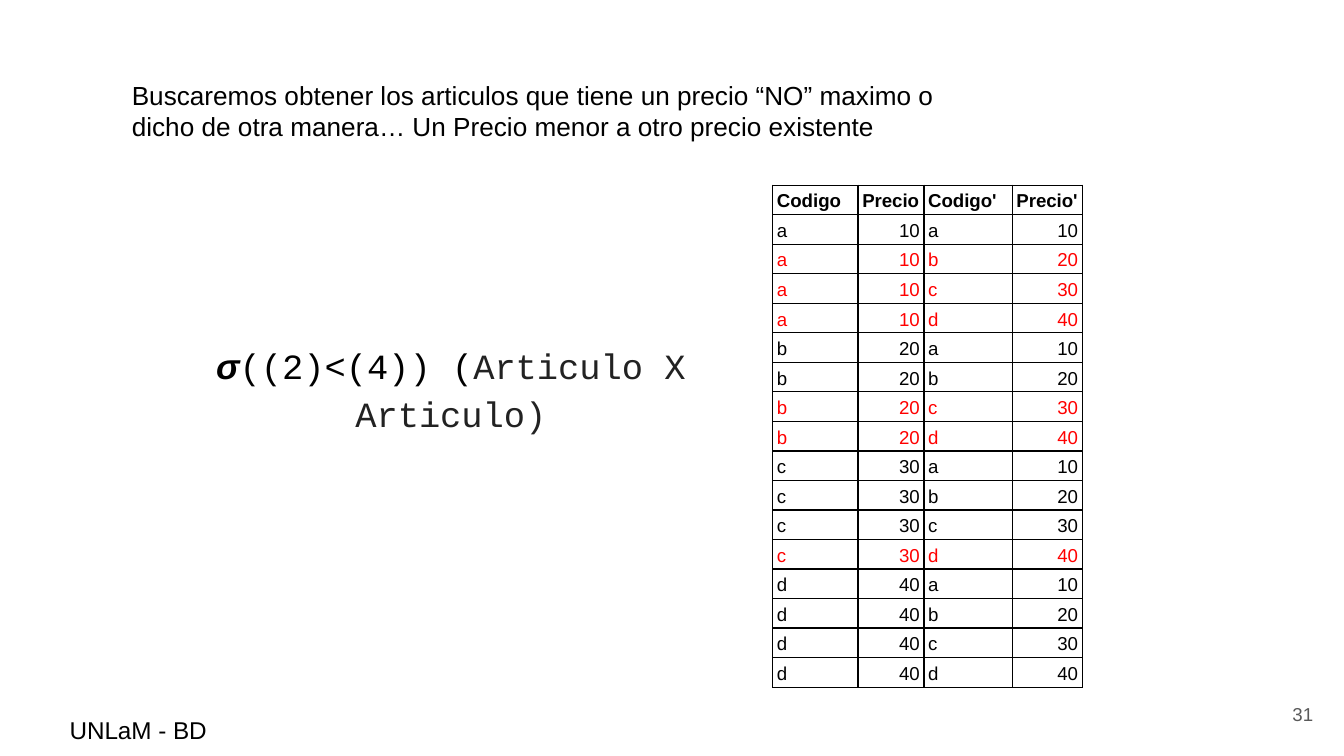
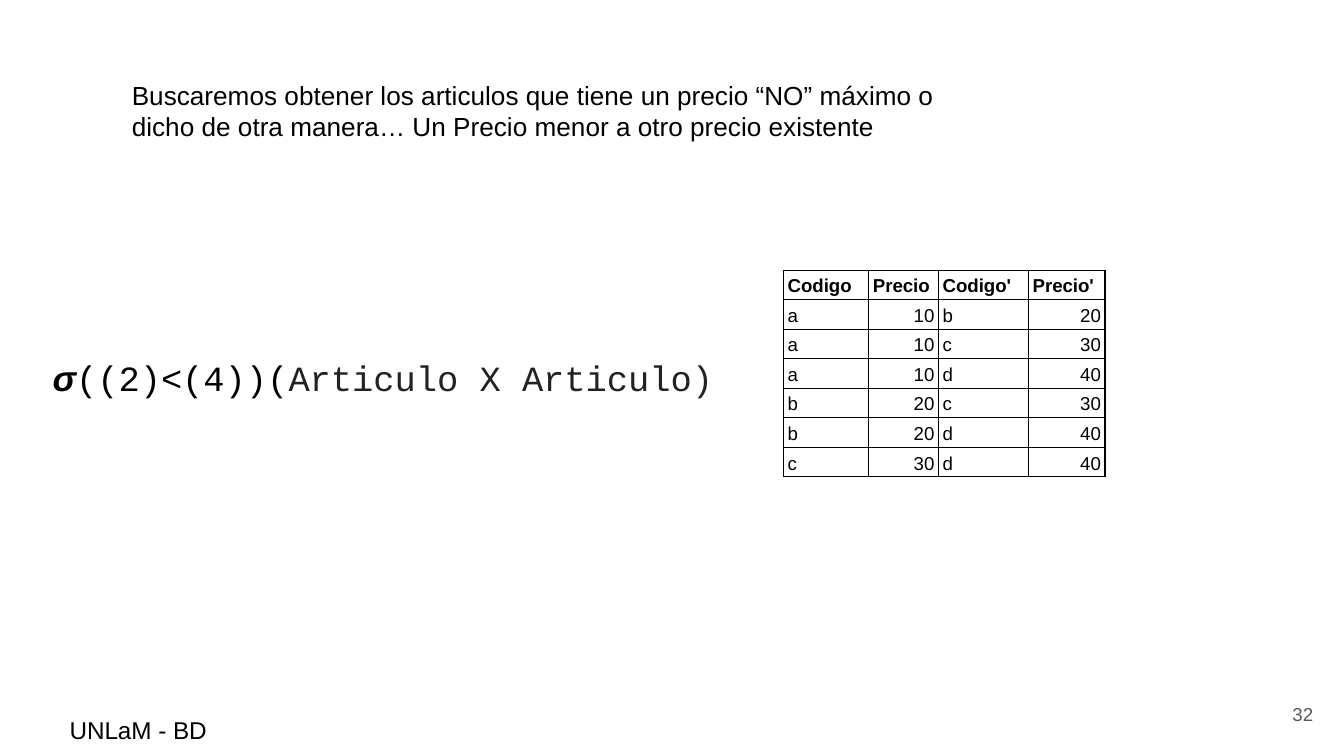
from itertools import product

from lxml import etree
from pptx import Presentation
from pptx.dml.color import RGBColor
from pptx.enum import text
from pptx.oxml import ns
from pptx.util import Pt

INK = {"black": "000000", "dark": "222222", "gray": "595959",
       "red": "FF0000", "white": "FFFFFF"}
SANS, MONO = "Arial", "Courier New"
LEFT, MID, RIGHT = text.PP_ALIGN.LEFT, text.PP_ALIGN.CENTER, text.PP_ALIGN.RIGHT
TOP, CORE, LOW = text.MSO_ANCHOR.TOP, text.MSO_ANCHOR.MIDDLE, text.MSO_ANCHOR.BOTTOM

TITLE = ("Buscaremos obtener los articulos que tiene un precio “NO” {} o "
         "dicho de otra manera… Un Precio menor a otro precio existente")
FOOT = "UNLaM - BD"
HEAD = ("Codigo", "Precio", "Codigo'", "Precio'")
ITEMS = [("a", 10), ("b", 20), ("c", 30), ("d", 40)]
PAIRS = [one + two for one, two in product(ITEMS, ITEMS)]
LESS = [row for row in PAIRS if row[1] < row[3]]

PAGES = [
    {"num": 31, "word": "maximo", "rows": PAIRS, "mark": LESS,
     "spot": (414, 99.2), "cols": (45.7, 35.3, 47.3, 37.5),
     "cond": "((2)<(4)) (", "box": (67.7, 180.7, 347.8, 47.5)},
    {"num": 32, "word": "máximo", "rows": LESS, "mark": [],
     "spot": (419.7, 144.7), "cols": (45.7, 37.4, 48.2, 41),
     "cond": "((2)<(4))(", "box": (0, 187.2, 410.4, 31)},
]
TITLE_BOX = (63.4, 35.3, 453.6, 47.5)
NUM_BOX = (667.4, 367.2, 43.2, 31)
FOOT_BOX = (30.2, 375.8, 103.7, 22.3)
ROW_H = 15.84


def style(font, size, color="black", face=SANS, bold=False, italic=False):
    font.size, font.name = Pt(size), face
    font.bold, font.italic = bold, italic
    font.color.rgb = RGBColor.from_string(INK[color])


def frame(shape, box, pad=7.2, anchor=TOP):
    shape.left, shape.top, shape.width, shape.height = map(Pt, box)
    body = shape.text_frame
    body.word_wrap, body.auto_size = True, text.MSO_AUTO_SIZE.NONE
    body.vertical_anchor = anchor
    body.margin_left = body.margin_right = Pt(pad)
    body.margin_top = body.margin_bottom = Pt(pad)
    return body.paragraphs[0]


def write(shape, box, words, size, color="black", align=LEFT, anchor=TOP):
    para = frame(shape, box, anchor=anchor)
    para.text, para.alignment = words, align
    style(para.font, size, color)


def border(cell):
    props = cell._tc.get_or_add_tcPr()
    for spot, side in enumerate(("lnL", "lnR", "lnT", "lnB")):
        line = etree.Element(ns.qn("a:" + side), w=str(Pt(0.75)))
        fill = etree.SubElement(line, ns.qn("a:solidFill"))
        etree.SubElement(fill, ns.qn("a:srgbClr"), val=INK["black"])
        props.insert(spot, line)


def fill_cell(cell, value, color, bold):
    cell.fill.background()
    border(cell)
    cell.vertical_anchor = LOW
    cell.margin_left = cell.margin_right = Pt(2.25)
    cell.margin_top = cell.margin_bottom = Pt(1.5)
    para = cell.text_frame.paragraphs[0]
    para.text, para.line_spacing = str(value), 1.15
    para.alignment = RIGHT if isinstance(value, int) else LEFT
    style(para.font, 10, color, bold=bold)


def add_grid(slide, page):
    rows, cols = [HEAD] + page["rows"], page["cols"]
    size = (sum(cols), ROW_H * len(rows))
    grid = slide.shapes.add_table(len(rows), len(cols),
                                  *map(Pt, page["spot"] + size)).table
    grid.first_row = grid.horz_banding = False
    for col, width in zip(grid.columns, cols):
        col.width = Pt(width)
    for r, row in enumerate(rows):
        grid.rows[r].height = Pt(ROW_H)
        color = "red" if row in page["mark"] else "black"
        for c, value in enumerate(row):
            fill_cell(grid.cell(r, c), value, color, r == 0)


def add_rule(slide, page):
    para = frame(slide.shapes.add_textbox(0, 0, 0, 0), page["box"], 0)
    para.alignment, para.line_spacing, para.space_before = MID, 1.15, Pt(4)
    for words, color, face, bold in (("σ", "black", SANS, True),
                                     (page["cond"], "black", MONO, False),
                                     ("Articulo X Articulo)", "dark", MONO, False)):
        run = para.add_run()
        run.text = words
        style(run.font, 19, color, face, bold, bold)


def add_page(deck, page):
    slide = deck.slides.add_slide(deck.slide_layouts[5])
    slide.background.fill.solid()
    slide.background.fill.fore_color.rgb = RGBColor.from_string(INK["white"])
    write(slide.shapes.title, TITLE_BOX, TITLE.format(page["word"]), 14)
    add_grid(slide, page)
    add_rule(slide, page)
    write(slide.shapes.add_textbox(0, 0, 0, 0), NUM_BOX, str(page["num"]),
          10, "gray", RIGHT, CORE)
    write(slide.shapes.add_textbox(0, 0, 0, 0), FOOT_BOX, FOOT, 13)


def main():
    deck = Presentation()
    deck.slide_width, deck.slide_height = Pt(720), Pt(405)
    for page in PAGES:
        add_page(deck, page)
    deck.save("out.pptx")


if __name__ == "__main__":
    main()
